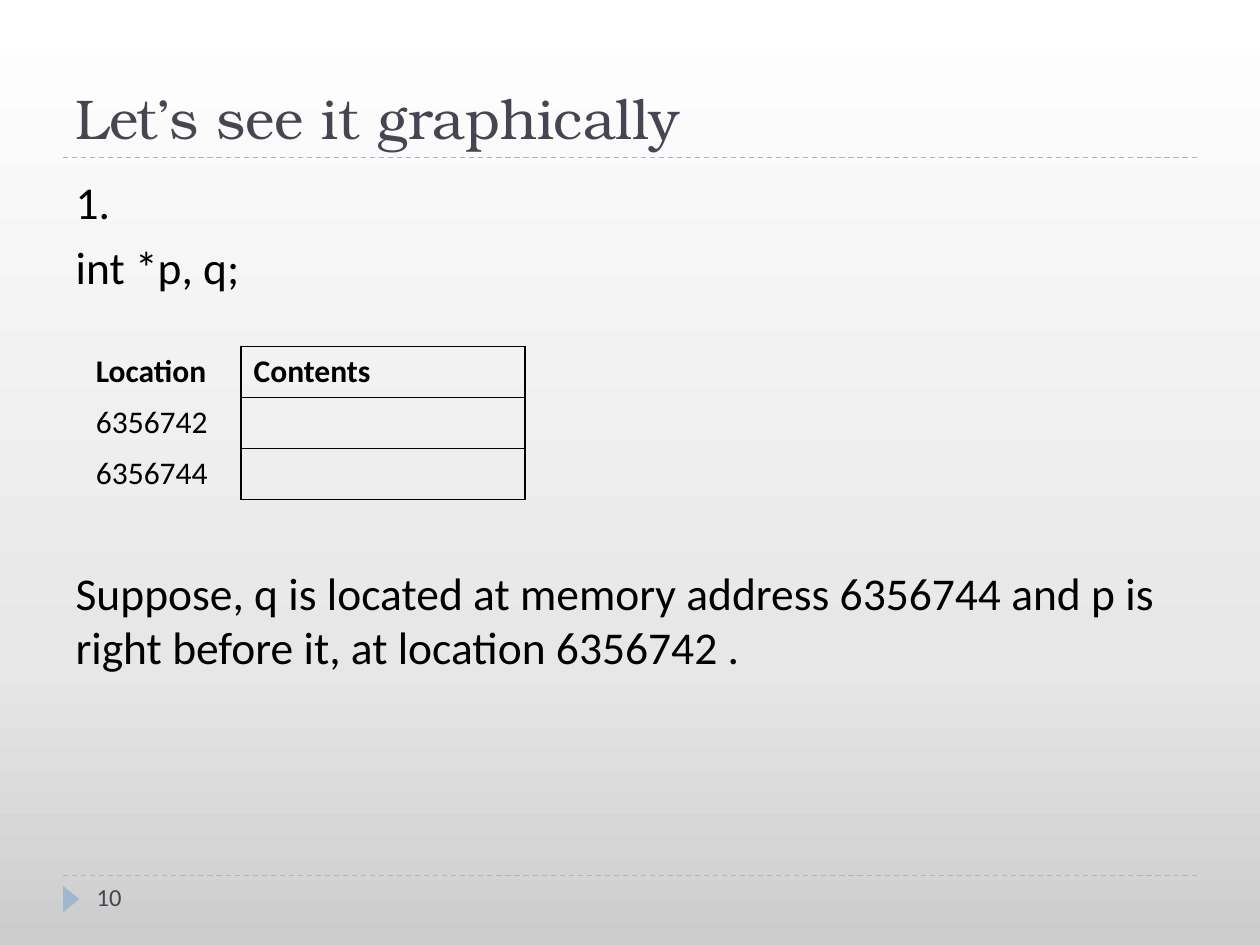
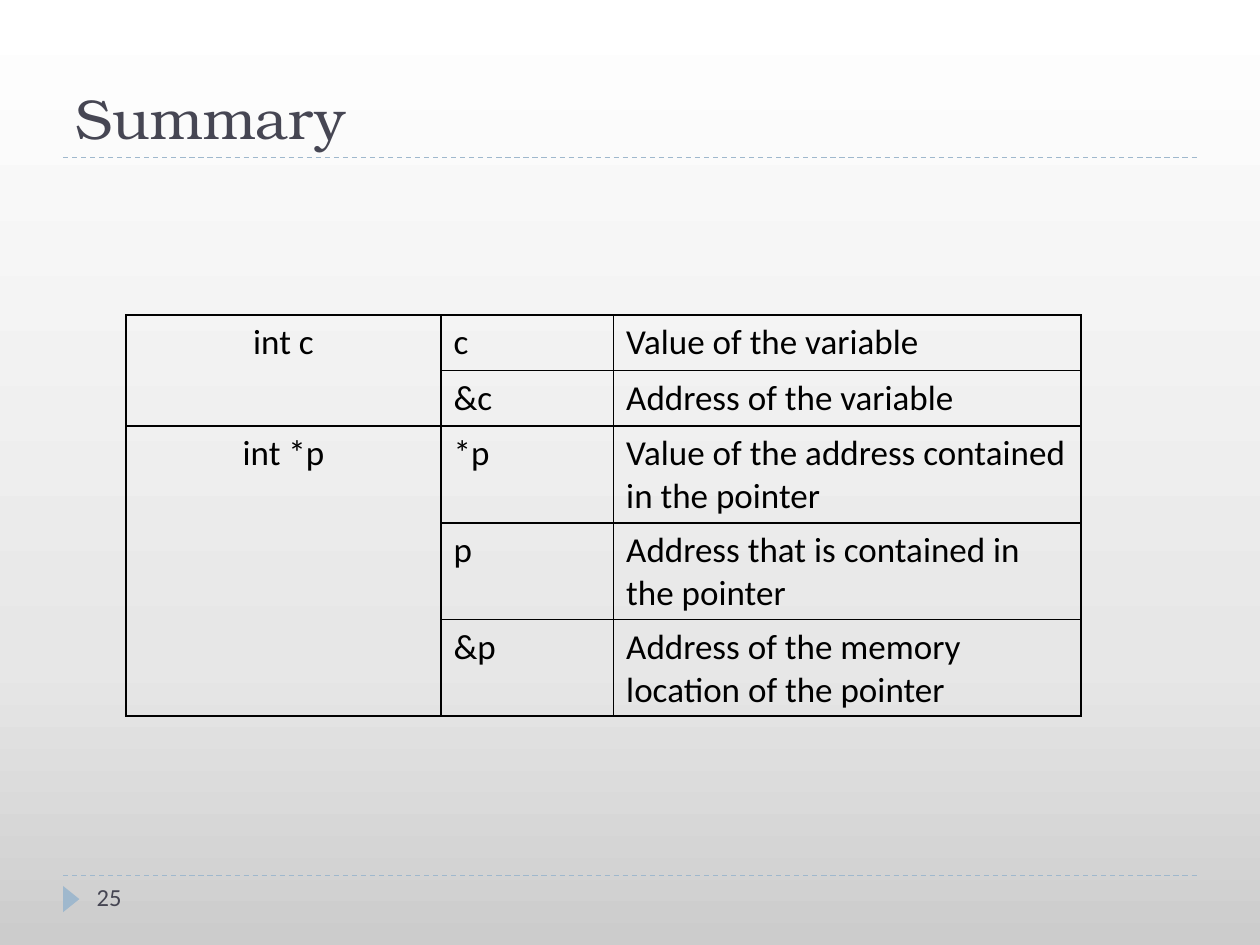
from copy import deepcopy
from dataclasses import dataclass
from typing import Any

from lxml import etree
from pptx import Presentation
from pptx import util as u
from pptx.dml import color
from pptx.enum import dml, shapes, text
from pptx.oxml import ns

COLORS = {
    "ink": "000000",
    "title": "464653",
    "accent": "9FB8CD",
    "bottom": "CCCCCC",
    "middle": "E7E7E7",
    "top": "FFFFFF",
}
BODY_FONT = "Calibri"
TITLE_FORMAT = {"name": "TeX Gyre Bonum", "size": u.Pt(32), "bold": False}
BODY_FORMAT = {"name": BODY_FONT, "size": u.Pt(26)}
NUMBER_FORMAT = {"name": BODY_FONT, "size": u.Pt(14)}
NO_TABLE_STYLE = "{2D5ABB26-0587-4C30-8999-92F81FD0307C}"
MARGIN, CONTENT_WIDTH = 1.27, 22.86
TITLE_RULE, FOOTER_RULE = 3.18, 17.65


@dataclass
class Cell:
    text: str = ""
    bold: bool = False
    centered: bool = False
    bordered: bool = True
    row_span: int = 1


@dataclass
class Grid:
    left: float
    top: float
    widths: list[float]
    heights: list[float]
    font_size: int
    rows: list[list[Cell]]


@dataclass
class BodyLine:
    text: str
    space_before: int = 6


def rgb(name: str) -> color.RGBColor:
    return color.RGBColor.from_string(COLORS[name])


def apply_format(target: Any, values: dict[str, Any]) -> None:
    for name, value in values.items():
        setattr(target, name, value)


def write(paragraph: Any, content: str, values: dict[str, Any], ink: str = "ink") -> None:
    run = paragraph.add_run()
    run.text = content
    apply_format(run.font, values)
    run.font.color.rgb = rgb(ink)


def place(shape: Any, left: float, top: float, width: float, height: float) -> None:
    box = {"left": left, "top": top, "width": width, "height": height}
    apply_format(shape, {name: u.Cm(value) for name, value in box.items()})


def set_background(master: Any) -> None:
    fill = master.background.fill
    fill.gradient()
    fill.gradient_angle = 90
    stop_list = master.element.find(".//" + ns.qn("a:gsLst"))
    stop_list.append(deepcopy(stop_list[0]))
    positions = [(0, "bottom"), (0.3, "middle"), (1, "top")]
    for stop, (position, name) in zip(fill.gradient_stops, positions):
        stop.position = position
        stop.color.rgb = rgb(name)


def add_rule(slide: Any, top: float) -> None:
    rule = slide.shapes.add_connector(
        shapes.MSO_CONNECTOR.STRAIGHT,
        u.Cm(MARGIN), u.Cm(top), u.Cm(MARGIN + CONTENT_WIDTH), u.Cm(top),
    )
    apply_format(rule.line, {"width": u.Pt(0.75), "dash_style": dml.MSO_LINE.DASH})
    rule.line.color.rgb = rgb("accent")
    etree.SubElement(rule.element.spPr, ns.qn("a:effectLst"))


def add_footer(slide: Any, number: int) -> None:
    marker = slide.shapes.add_shape(
        shapes.MSO_SHAPE.ISOSCELES_TRIANGLE, u.Cm(1.17), u.Cm(17.96), u.Cm(0.53), u.Cm(0.33)
    )
    marker.rotation = 90
    marker.shadow.inherit = False
    marker.fill.solid()
    marker.fill.fore_color.rgb = rgb("accent")
    marker.line.fill.background()
    box = slide.shapes.add_textbox(u.Cm(1.7), u.Cm(FOOTER_RULE), u.Cm(5.51), u.Cm(1.02))
    box.text_frame.word_wrap = True
    write(box.text_frame.paragraphs[0], str(number), NUMBER_FORMAT, "title")


def add_slide(presentation: Any, layout: str, title: str, number: int) -> Any:
    slide = presentation.slides.add_slide(presentation.slide_layouts.get_by_name(layout))
    add_rule(slide, FOOTER_RULE)
    add_rule(slide, TITLE_RULE)
    place(slide.shapes.title, MARGIN, 0.43, CONTENT_WIDTH, 2.74)
    frame = slide.shapes.title.text_frame
    apply_format(frame, {
        "vertical_anchor": text.MSO_ANCHOR.BOTTOM,
        "auto_size": text.MSO_AUTO_SIZE.NONE,
    })
    frame.paragraphs[0].alignment = text.PP_ALIGN.LEFT
    write(frame.paragraphs[0], title, TITLE_FORMAT, "title")
    add_footer(slide, number)
    return slide


def fill_body(slide: Any, lines: list[BodyLine]) -> None:
    body = slide.placeholders[1]
    place(body, MARGIN, 3.38, CONTENT_WIDTH, 13.72)
    frame = body.text_frame
    frame.auto_size = text.MSO_AUTO_SIZE.NONE
    for index, line in enumerate(lines):
        paragraph = frame.add_paragraph() if index else frame.paragraphs[0]
        paragraph.space_before = u.Pt(line.space_before)
        properties = paragraph._p.get_or_add_pPr()
        properties.set("marL", "0")
        properties.set("indent", "0")
        etree.SubElement(properties, ns.qn("a:buNone"))
        write(paragraph, line.text, BODY_FORMAT)


def add_borders(cell: Any) -> None:
    properties = cell._tc.get_or_add_tcPr()
    for side in ("lnL", "lnR", "lnT", "lnB"):
        border = etree.SubElement(properties, ns.qn(f"a:{side}"), w=str(u.Pt(1)))
        solid = etree.SubElement(border, ns.qn("a:solidFill"))
        etree.SubElement(solid, ns.qn("a:srgbClr"), val=COLORS["ink"])


def add_grid(slide: Any, grid: Grid) -> None:
    frame = slide.shapes.add_table(
        len(grid.heights), len(grid.widths), u.Cm(grid.left), u.Cm(grid.top),
        u.Cm(sum(grid.widths)), u.Cm(sum(grid.heights)),
    )
    table = frame.table
    apply_format(table, {"first_row": False, "horz_banding": False})
    table._tbl.find(".//" + ns.qn("a:tableStyleId")).text = NO_TABLE_STYLE
    for column, width in zip(table.columns, grid.widths):
        column.width = u.Cm(width)
    for row, height in zip(table.rows, grid.heights):
        row.height = u.Cm(height)
    for row_index, row in enumerate(grid.rows):
        for column_index, content in enumerate(row):
            cell = table.cell(row_index, column_index)
            if content.bordered:
                add_borders(cell)
            cell.fill.background()
            paragraph = cell.text_frame.paragraphs[0]
            if content.centered:
                paragraph.alignment = text.PP_ALIGN.CENTER
            if content.text:
                write(paragraph, content.text, {
                    "name": BODY_FONT, "size": u.Pt(grid.font_size), "bold": content.bold,
                })
            if content.row_span > 1:
                cell.merge(table.cell(row_index + content.row_span - 1, column_index))


MEMORY = Grid(
    1.68, 6.98, [3.18, 5.72], [1.03] * 3, 18,
    [
        [Cell("Location", bold=True, bordered=False), Cell("Contents", bold=True)],
        [Cell("6356742", bordered=False), Cell()],
        [Cell("6356744", bordered=False), Cell()],
    ],
)
SUMMARY = Grid(
    2.54, 6.35, [6.35, 3.48, 9.42], [1.12] * 2 + [1.94] * 3, 20,
    [
        [Cell("int c", centered=True, row_span=2), Cell("c"), Cell("Value of the variable")],
        [Cell(), Cell("&c"), Cell("Address of the variable")],
        [Cell("int *p", centered=True, row_span=3), Cell("*p"),
         Cell("Value of the address contained in the pointer")],
        [Cell(), Cell("p"), Cell("Address that is contained in the pointer")],
        [Cell(), Cell("&p"), Cell("Address of the memory location of the pointer")],
    ],
)
EXPLANATION = [
    BodyLine("1."),
    BodyLine("int *p, q;"),
    BodyLine(
        "Suppose, q is located at memory address 6356744 and p is right before it, "
        "at location 6356742 .",
        space_before=155,
    ),
]

presentation = Presentation()
apply_format(presentation, {"slide_width": u.Cm(25.4), "slide_height": u.Cm(19.05)})
set_background(presentation.slide_master)

memory_slide = add_slide(presentation, "Title and Content", "Let’s see it graphically", 10)
fill_body(memory_slide, EXPLANATION)
add_grid(memory_slide, MEMORY)

summary_slide = add_slide(presentation, "Title Only", "Summary", 25)
add_grid(summary_slide, SUMMARY)

presentation.save("out.pptx")
